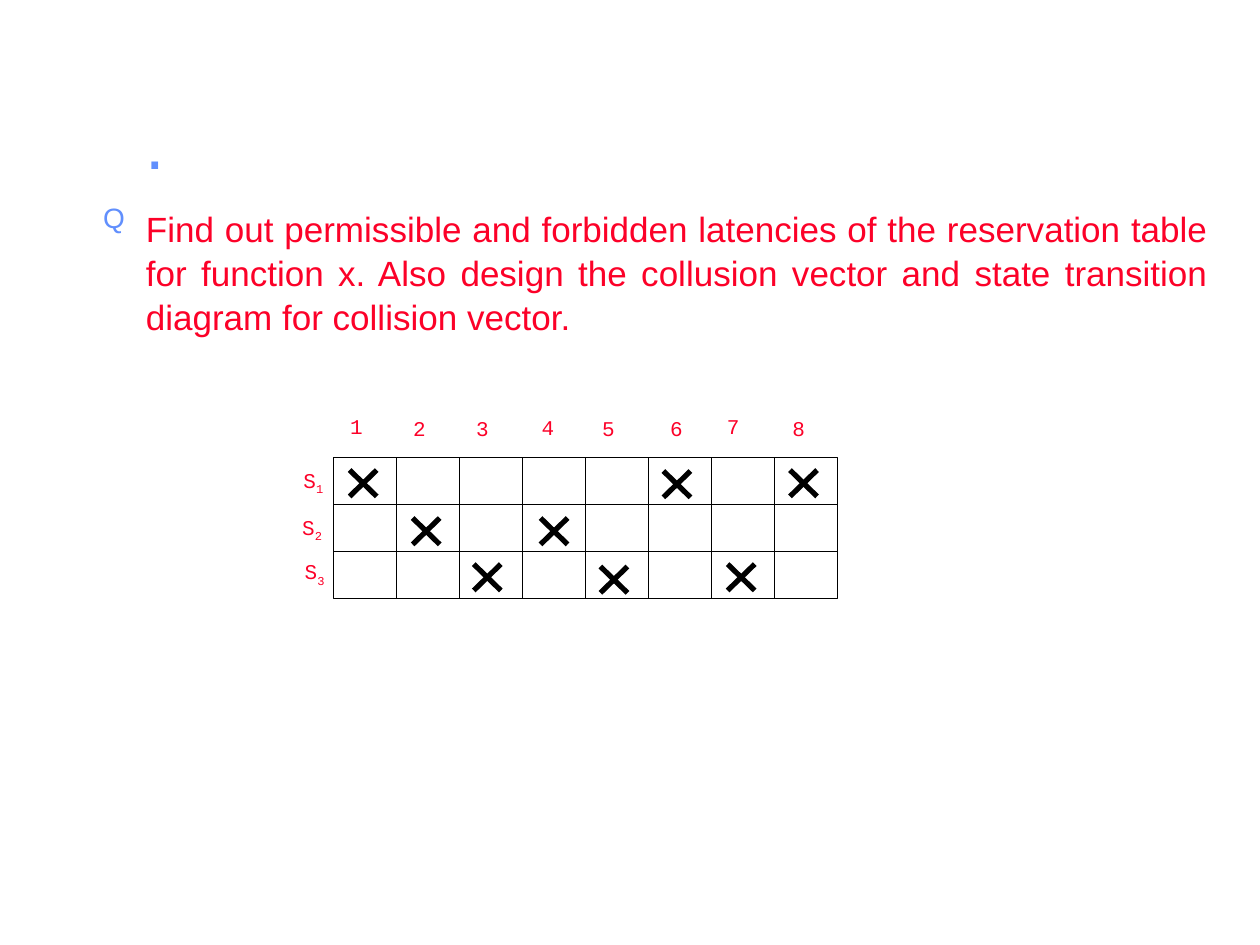
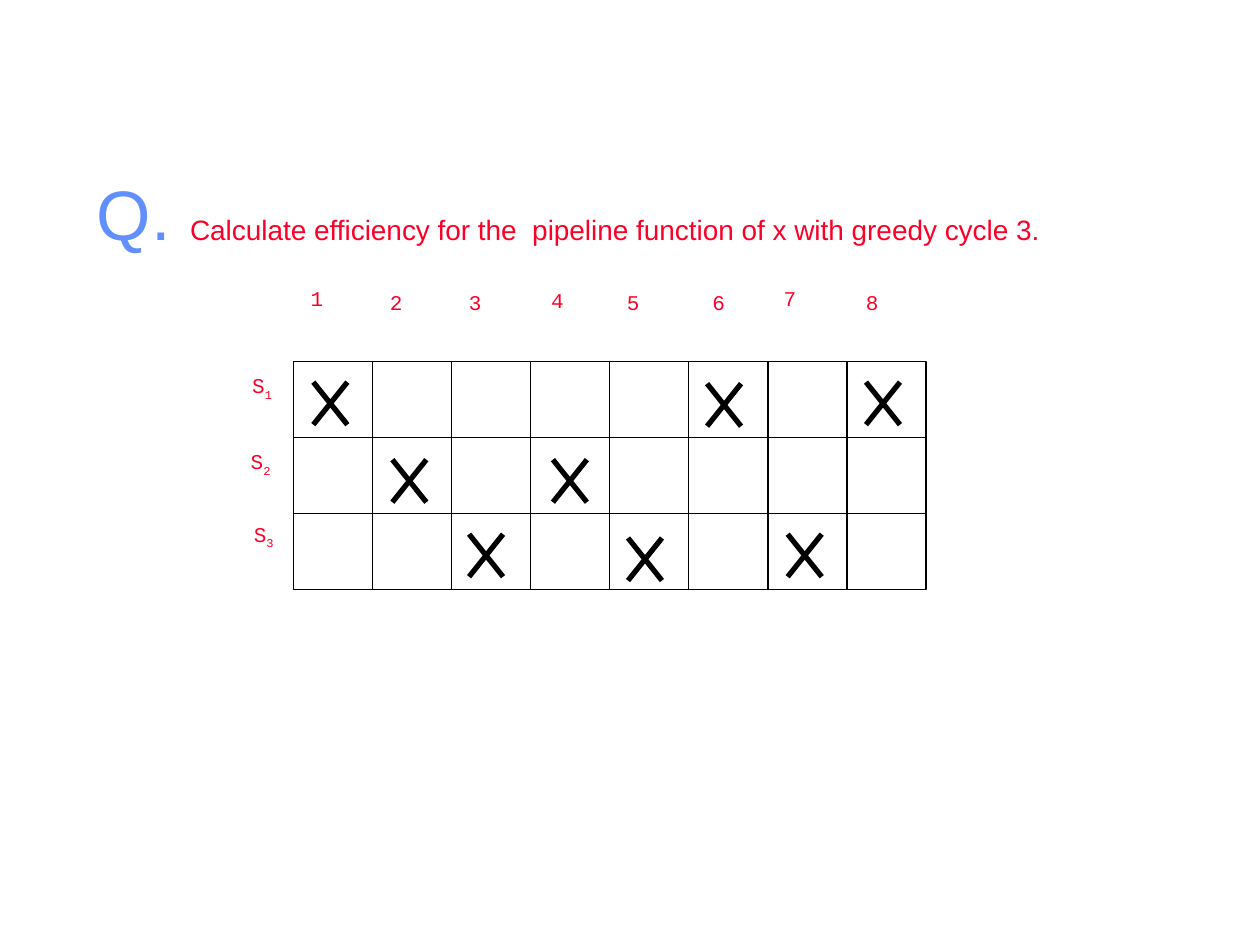
from lxml import etree
from pptx import Presentation
from pptx.dml.color import RGBColor
from pptx.enum.shapes import MSO_CONNECTOR, MSO_SHAPE
from pptx.enum.text import MSO_AUTO_SIZE, PP_ALIGN
from pptx.oxml.ns import qn
from pptx.util import Inches, Pt

RED = RGBColor(0xFC, 0x01, 0x28)
BLUE = RGBColor(0x61, 0x8F, 0xFD)
BLACK = RGBColor(0, 0, 0)
BODY_FONT = "Arial"
LABEL_FONT = "Courier New"

STAGES, TIMES = 3, 8
# All offsets and sizes below are fractions of one table cell.
LABEL_SIZE = (0.82, 0.89)
CROSS_SIZE = (0.43, 0.56)
TIME_OFFSETS = [(0.06, -1.1), (0.06, -1.05), (0.06, -1.05), (0.1, -1.07),
                (0.06, -1.05), (0.14, -1.05), (0.04, -1.1), (0.08, -1.05)]
STAGE_OFFSETS = [(-0.68, 0.05), (-0.7, 0.05), (-0.66, 0)]
# (stage, time): offset of the cross inside its cell
CROSSES = {
    (1, 1): (0.25, 0.27), (1, 6): (0.23, 0.29), (1, 8): (0.24, 0.27),
    (2, 2): (0.25, 0.29), (2, 4): (0.28, 0.29),
    (3, 3): (0.22, 0.27), (3, 5): (0.23, 0.32), (3, 7): (0.25, 0.27),
}


def add_text_box(shapes, left, top, width, height, wrap=True):
    sp = shapes.add_textbox(Inches(left), Inches(top), Inches(width), Inches(height))
    tf = sp.text_frame
    tf.word_wrap = wrap
    tf.auto_size = MSO_AUTO_SIZE.NONE
    return tf


def format_paragraph(p, space_before, align=PP_ALIGN.LEFT):
    p.space_before = Pt(space_before)
    p.line_spacing = 1.05
    p.alignment = align


def add_run(p, text, size, color, font=BODY_FONT):
    r = p.add_run()
    r.text = text
    r.font.size = Pt(size)
    r.font.name = font
    r.font.color.rgb = color
    return r


def add_label(shapes, left, top, width, height, text, subscript=""):
    p = add_text_box(shapes, left, top, width, height).paragraphs[0]
    format_paragraph(p, 7.5)
    add_run(p, text, 12, RED, LABEL_FONT)
    if subscript:
        r = add_run(p, subscript, 12, RED, LABEL_FONT)
        r.font._element.set("baseline", "-25000")


def add_cell(shapes, left, top, width, height):
    sp = shapes.add_shape(MSO_SHAPE.RECTANGLE, Inches(left), Inches(top),
                          Inches(width), Inches(height))
    sp.shadow.inherit = False
    sp.fill.background()
    sp.line.color.rgb = BLACK
    sp.line.width = Pt(0.75)


def add_cross(shapes, left, top, width, height):
    right, bottom = left + width, top + height
    for x1, x2 in ((left, right), (right, left)):
        line = shapes.add_connector(MSO_CONNECTOR.STRAIGHT, Inches(x1), Inches(top),
                                    Inches(x2), Inches(bottom))
        line.line.color.rgb = BLACK
        line.line.width = Pt(3)
        etree.SubElement(line._element.spPr, qn("a:effectLst"))


def add_reservation_table(slide, left, top, width, height):
    """Draw cells, labels and crosses; the box is that of the cells alone."""
    shapes = slide.shapes.add_group_shape().shapes
    cell_w, cell_h = width / TIMES, height / STAGES

    def place(col, row, size=(1, 1)):
        return (left + col * cell_w, top + row * cell_h,
                size[0] * cell_w, size[1] * cell_h)

    for row in range(STAGES):
        for col in range(TIMES):
            add_cell(shapes, *place(col, row))
    for row, (dx, dy) in enumerate(STAGE_OFFSETS):
        add_label(shapes, *place(dx, row + dy, LABEL_SIZE), "S", str(row + 1))
    for col, (dx, dy) in enumerate(TIME_OFFSETS):
        add_label(shapes, *place(col + dx, dy, LABEL_SIZE), str(col + 1))
    for (stage, time), (dx, dy) in CROSSES.items():
        add_cross(shapes, *place(time - 1 + dx, stage - 1 + dy, CROSS_SIZE))


def add_latency_question(slide, left, top, width, height):
    tf = add_text_box(slide.shapes, left + 0.34, top, width - 0.34, height)
    p = tf.paragraphs[0]
    format_paragraph(p, 25)
    add_run(p, ".", 40, BLUE)
    p = tf.add_paragraph()
    format_paragraph(p, 12.5, PP_ALIGN.JUSTIFY)
    add_run(p, "Find out permissible and forbidden latencies of the reservation table "
               "for function x. Also design the collusion vector and state transition "
               "diagram for collision vector.", 20, RED)

    p = add_text_box(slide.shapes, left, top + 0.82, 0.37, 0.37, wrap=False).paragraphs[0]
    format_paragraph(p, 10)
    add_run(p, "Q", 16, BLUE)


def add_efficiency_question(slide, left, top, width, height):
    p = add_text_box(slide.shapes, left, top, width, height).paragraphs[0]
    format_paragraph(p, 10)
    add_run(p, "Q. ", 40, BLUE)
    add_run(p, "Calculate efficiency for the  pipeline function of x with greedy cycle 3.",
            16, RED)


def main():
    prs = Presentation()
    prs.slide_width, prs.slide_height = Inches(10), Inches(7.5)
    blank = prs.slide_layouts[6]

    slide = prs.slides.add_slide(blank)
    add_latency_question(slide, 0.72, 0.71, 8.97, 1.94)
    add_reservation_table(slide, 2.65, 3.63, 4, 1.12)

    slide = prs.slides.add_slide(blank)
    add_reservation_table(slide, 2.33, 2.87, 5.02, 1.81)
    add_efficiency_question(slide, 0.67, 1.27, 8.27, 0.77)

    prs.save("out.pptx")


if __name__ == "__main__":
    main()
